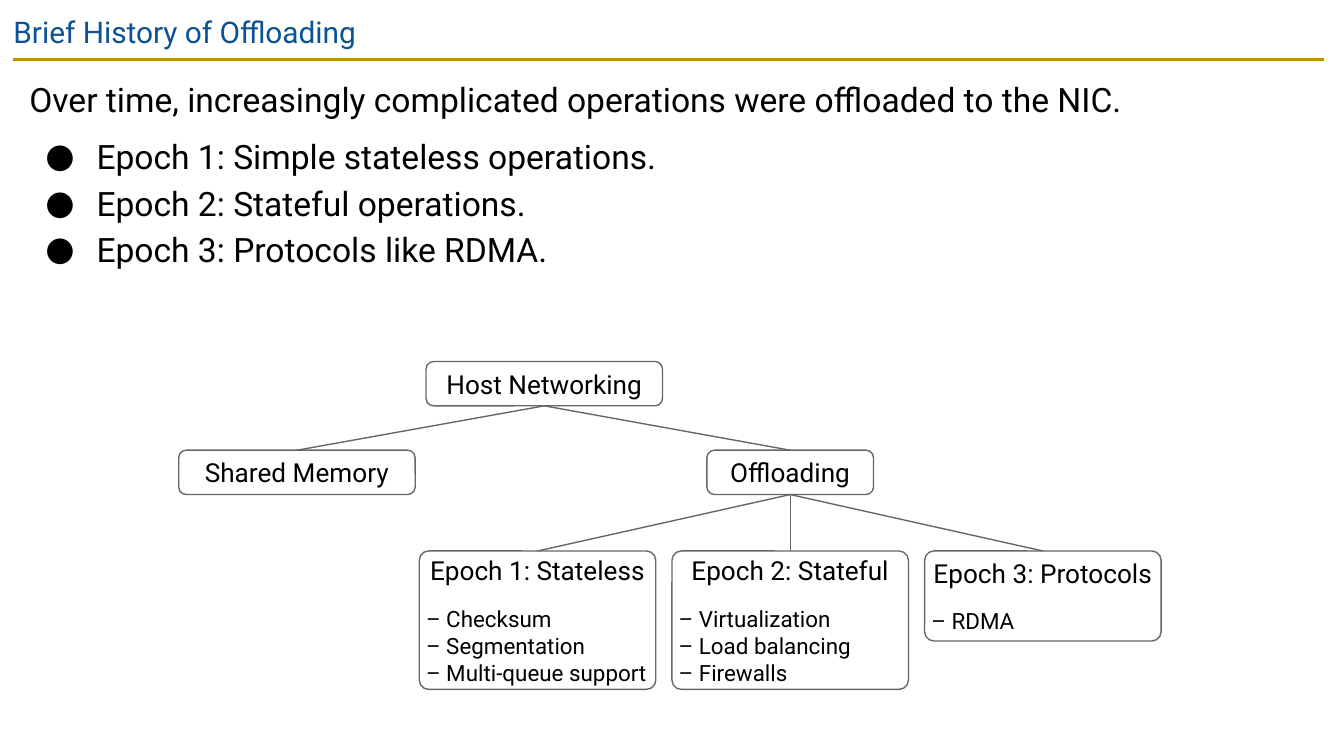
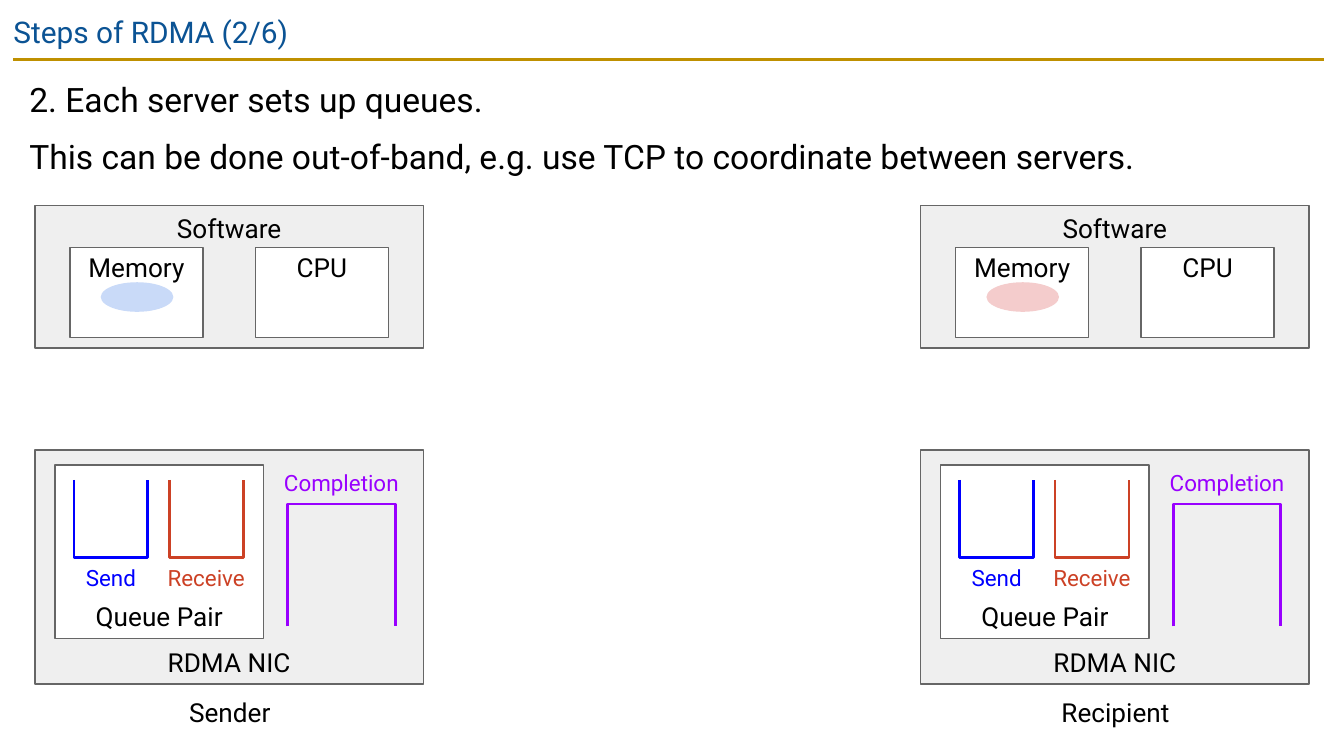
import pptx
import pptx.util
from lxml import etree
from pptx.dml.color import RGBColor
from pptx.enum.shapes import MSO_CONNECTOR, MSO_SHAPE
from pptx.enum.text import MSO_ANCHOR, MSO_AUTO_SIZE, PP_ALIGN
from pptx.oxml.ns import qn
from pptx.util import Inches

FONT = "Roboto"
COLORS = {
    "title": "0B5394", "rule": "BF9000", "text": "000000", "border": "666666",
    "panel": "EFEFEF", "white": "FFFFFF", "send": "0000FF", "receive": "CC4125",
    "completion": "9900FF", "sender_data": "C9DAF8", "recipient_data": "F4CCCC",
}
CENTER = PP_ALIGN.CENTER


def rgb(name):
    return RGBColor.from_string(COLORS[name])


def write(tf, text, size=14, color="text", align=None, before=0, spacing=None, bullet=None):
    """Add one paragraph, reusing the empty first one of a new frame."""
    p = tf.paragraphs[0] if not tf.text else tf.add_paragraph()
    if bullet:
        pPr = p._p.get_or_add_pPr()
        pPr.set("marL", str(Inches(0.5)))
        pPr.set("indent", str(Inches(-0.38)))
        clr = etree.SubElement(pPr, qn("a:buClr"))
        etree.SubElement(clr, qn("a:srgbClr")).set("val", COLORS[color])
        etree.SubElement(pPr, qn("a:buFont")).set("typeface", FONT)
        etree.SubElement(pPr, qn("a:buChar")).set("char", bullet)
    if align is not None:
        p.alignment = align
    if before:
        p.space_before = pptx.util.Pt(before)
    if spacing:
        p.line_spacing = spacing
    r = p.add_run()
    r.text = text
    r.font.name = FONT
    r.font.size = pptx.util.Pt(size)
    r.font.color.rgb = rgb(color)


class Deck:
    def __init__(self):
        self.prs = pptx.Presentation()
        self.prs.slide_width = Inches(10)
        self.prs.slide_height = Inches(10) * 9 // 16
        self.s = None

    def slide(self, title):
        self.s = self.prs.slides.add_slide(self.prs.slide_layouts[5])
        sp = self.s.shapes.title
        sp.left, sp.top, sp.width, sp.height = Inches(0), Inches(0), Inches(10), Inches(0.43)
        write(self.frame(sp, 0.1), title, 16, "title", PP_ALIGN.LEFT)
        self.line((0.1, 0.44), (9.85, 0.44), "rule", 1.5)

    def frame(self, sp, inset, anchor=MSO_ANCHOR.TOP):
        tf = sp.text_frame
        tf.word_wrap = True
        tf.auto_size = MSO_AUTO_SIZE.NONE
        tf.vertical_anchor = anchor
        tf.margin_left = tf.margin_right = tf.margin_top = tf.margin_bottom = Inches(inset)
        return tf

    def textbox(self, x, y, w, h, inset=0.03):
        sp = self.s.shapes.add_textbox(Inches(x), Inches(y), Inches(w), Inches(h))
        return self.frame(sp, inset)

    def body(self, height, intro, more=(), bullets=()):
        tf = self.textbox(0.12, 0.44, 9.74, height, 0.1)
        write(tf, intro, 18, spacing=1.15)
        for text in more:
            write(tf, text, 18, before=6, spacing=1.15)
        for i, text in enumerate(bullets):
            write(tf, text, 18, before=0 if i else 6, spacing=1.15, bullet="●")

    def label(self, text, x, y, w, h, size=12, color="text"):
        write(self.textbox(x, y, w, h), text, size, color, CENTER)

    def outline(self, sp, color="border", width=0.75):
        sp.shadow.inherit = False
        sp.line.color.rgb = rgb(color)
        sp.line.width = pptx.util.Pt(width)

    def box(self, text, x, y, w, h, fill, inset=0.05, anchor=MSO_ANCHOR.TOP):
        sp = self.s.shapes.add_shape(MSO_SHAPE.RECTANGLE, Inches(x), Inches(y), Inches(w), Inches(h))
        self.outline(sp)
        sp.fill.solid()
        sp.fill.fore_color.rgb = rgb(fill)
        write(self.frame(sp, inset, anchor), text, align=CENTER)

    def node(self, text, x, y, w=1.76, h=0.33, items=()):
        """Rounded tree node with an optional dashed list under its heading."""
        sp = self.s.shapes.add_shape(
            MSO_SHAPE.ROUNDED_RECTANGLE, Inches(x), Inches(y), Inches(w), Inches(h))
        sp.adjustments[0] = 0.07 / h if items else 0.17
        self.outline(sp)
        sp.fill.background()
        tf = self.frame(sp, 0.03 if items else 0, MSO_ANCHOR.MIDDLE)
        write(tf, text, align=CENTER)
        for i, item in enumerate(items):
            write(tf, f"– {item}", 12, align=PP_ALIGN.LEFT, before=0 if i else 10)
        return sp

    def ellipse(self, x, y, w, h, fill):
        sp = self.s.shapes.add_shape(MSO_SHAPE.OVAL, Inches(x), Inches(y), Inches(w), Inches(h))
        sp.shadow.inherit = False
        sp.fill.solid()
        sp.fill.fore_color.rgb = rgb(fill)
        sp.line.fill.background()

    def line(self, start, end, color="border", width=0.75):
        c = self.s.shapes.add_connector(
            MSO_CONNECTOR.STRAIGHT, *(Inches(v) for v in (*start, *end)))
        c.line.color.rgb = rgb(color)
        c.line.width = pptx.util.Pt(width)
        etree.SubElement(c._element.spPr, qn("a:effectLst"))
        return c

    def branch(self, parent, child):
        c = self.line((0, 0), (1, 1))
        c.begin_connect(parent, 2)
        c.end_connect(child, 0)

    def queue(self, x, y, w, h, color, open_down=False):
        """Three-sided outline, open at the top unless open_down."""
        rim, base = (y + h, y) if open_down else (y, y + h)
        points = [(Inches(a), Inches(b)) for a, b in ((x, rim), (x, base), (x + w, base), (x + w, rim))]
        fb = self.s.shapes.build_freeform(*points[0])
        fb.add_line_segments(points[1:], close=False)
        sp = fb.convert_to_shape()
        sp.fill.background()
        self.outline(sp, color, 1.5)

    def server(self, name, x, data):
        """Software panel over an RDMA NIC panel, with left edge x."""
        self.box("RDMA NIC", x, 3.35, 2.89, 1.74, "panel", anchor=MSO_ANCHOR.BOTTOM)
        self.label(name, x + 0.82, 5.15, 1.26, 0.3, 14)
        self.box("Queue Pair", x + 0.15, 3.46, 1.55, 1.29, "white", anchor=MSO_ANCHOR.BOTTOM)
        for text, dx in (("Send", 0.29), ("Receive", 1)):
            self.queue(x + dx, 3.57, 0.55, 0.58, text.lower())
            self.label(text, x + dx - 0.1, 4.17, 0.75, 0.26, color=text.lower())
        self.queue(x + 1.88, 3.75, 0.8, 0.91, "completion", open_down=True)
        self.label("Completion", x + 1.82, 3.46, 0.92, 0.26, color="completion")
        self.box("Software", x, 1.53, 2.89, 1.06, "panel")
        for text, dx in (("CPU", 1.64), ("Memory", 0.26)):
            self.box(text, x + dx, 1.84, 0.99, 0.67, "white", 0.03)
        self.ellipse(x + 0.49, 2.1, 0.54, 0.22, data)


def history_slide(deck):
    deck.slide("Brief History of Offloading")
    deck.body(2.28, "Over time, increasingly complicated operations were offloaded to the NIC.",
              bullets=("Epoch 1: Simple stateless operations.",
                       "Epoch 2: Stateful operations.",
                       "Epoch 3: Protocols like RDMA."))
    host = deck.node("Host Networking", 3.17, 2.69)
    shared = deck.node("Shared Memory", 1.33, 3.35)
    offloading = deck.node("Offloading", 5.26, 3.35, 1.24)
    for child in (shared, offloading):
        deck.branch(host, child)
    epochs = (
        ("Epoch 1: Stateless", 1.03, ("Checksum", "Segmentation", "Multi-queue support")),
        ("Epoch 2: Stateful", 1.03, ("Virtualization", "Load balancing", "Firewalls")),
        ("Epoch 3: Protocols", 0.67, ("RDMA",)),
    )
    for i, (heading, height, items) in enumerate(epochs):
        deck.branch(offloading, deck.node(heading, 3.12 + 1.88 * i, 4.1, h=height, items=items))


def queues_slide(deck):
    deck.slide("Steps of RDMA (2/6)")
    deck.body(1.05, "2. Each server sets up queues.",
              more=("This can be done out-of-band, e.g. use TCP to coordinate between servers.",))
    deck.server("Sender", 0.26, "sender_data")
    deck.server("Recipient", 6.85, "recipient_data")


def main():
    deck = Deck()
    history_slide(deck)
    queues_slide(deck)
    deck.prs.save("out.pptx")


if __name__ == "__main__":
    main()
